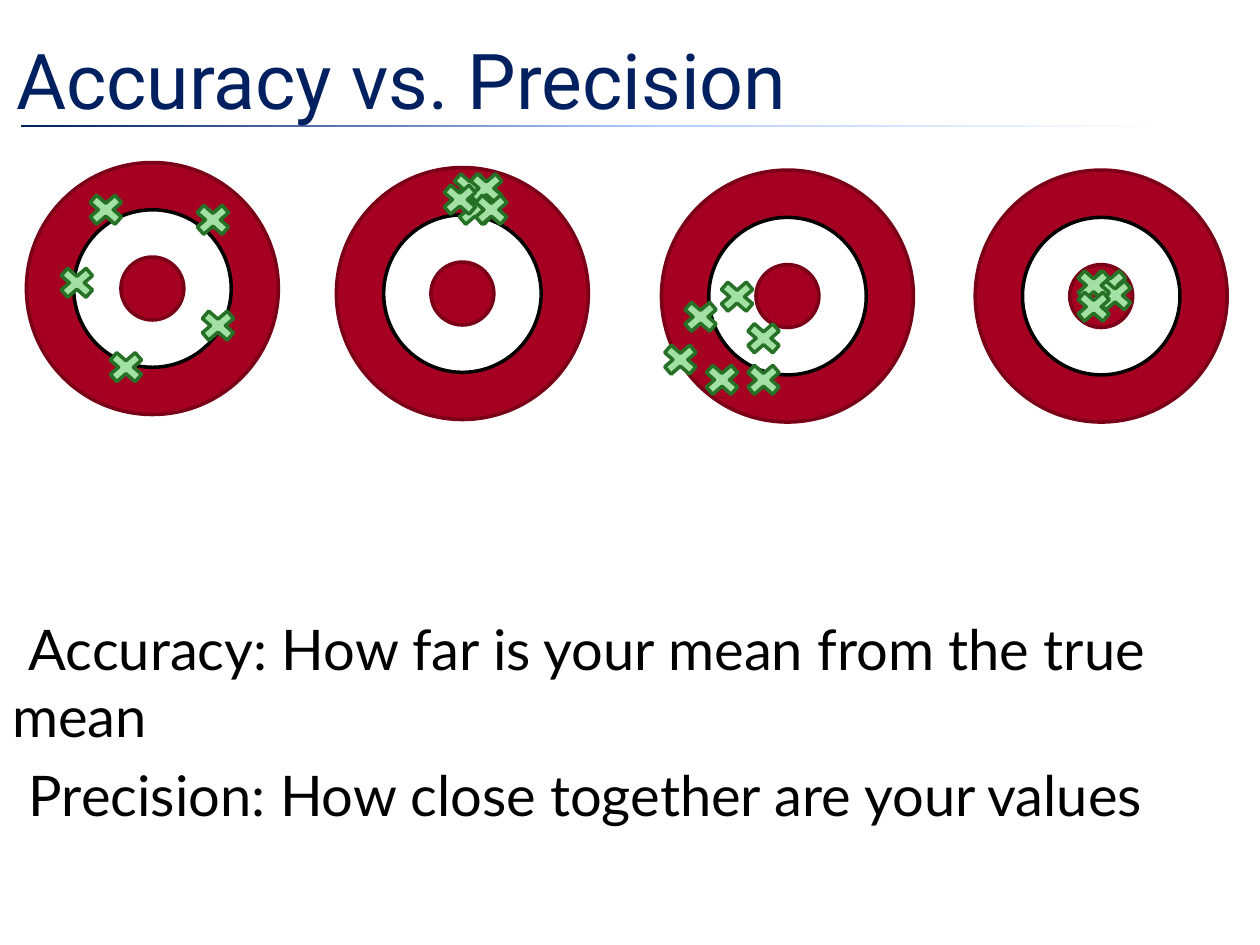
from lxml import etree
from pptx import Presentation
from pptx.dml.color import RGBColor
from pptx.enum.shapes import MSO_SHAPE
from pptx.enum.text import MSO_ANCHOR
from pptx.oxml import parse_xml
from pptx.oxml.ns import nsdecls, qn
from pptx.util import Inches, Pt

OVAL, CROSS, RECT = MSO_SHAPE.OVAL, MSO_SHAPE.MATH_MULTIPLY, MSO_SHAPE.RECTANGLE
MIDDLE, TOP = MSO_ANCHOR.MIDDLE, MSO_ANCHOR.TOP

# Content
TITLE = "Accuracy vs. Precision"
DEFINITIONS = [
    "Accuracy: How far is your mean from the true mean",
    "Precision: How close together are your values",
]
# Each target: left, top, then its hits as offsets from that corner
TARGETS = [
    (0.21, 1.29, [(0.44, 0.21), (0.6, 1.46), (1.33, 1.13), (1.29, 0.29), (0.21, 0.79)]),
    (2.67, 1.33, [(0.87, 0), (0.91, 0.17), (1, 0), (1.04, 0.17), (0.79, 0.09)]),
    (7.74, 1.35, [(0.88, 0.75), (0.92, 0.83), (0.75, 0.75), (0.75, 0.92)]),
    (5.25, 1.35, [(0.12, 1), (0.29, 1.5), (0.62, 1.17), (0.41, 0.84), (0.62, 1.5),
                  (-0.04, 1.34)]),
]
COLORS = {
    "navy": "002060", "sky": "B4CDFF", "white": "FFFFFF", "black": "000000",
    "red": "A50021", "dark red": "7A0018", "green": "A3E0A3", "dark green": "267126",
}
# Rings from outside in: diameter, fill, line
RINGS = [(2, "red", "dark red"), (1.25, "white", "black"), (0.5, "red", "dark red")]
HIT_W, HIT_H = 0.38, 0.33
RULE_STOPS = [(7, "white"), (48, "sky"), (100, "navy")]

prs = Presentation()
prs.slide_width, prs.slide_height = Inches(10), Inches(7.5)
slide = prs.slides.add_slide(prs.slide_layouts[6])


def rgb(name):
    return RGBColor.from_string(COLORS[name])


def add_part(group, preset, left, top, width, height, fill, line):
    part = group.shapes.add_shape(preset, *map(Inches, (left, top, width, height)))
    part.shadow.inherit = False
    part.fill.solid()
    part.fill.fore_color.rgb = rgb(fill)
    part.line.color.rgb = rgb(line)
    part.line.width = Pt(2)


def add_text(box, lines, font, size, color, anchor):
    frame = slide.shapes.add_textbox(*map(Inches, box)).text_frame
    frame.word_wrap = True
    frame.vertical_anchor = anchor
    frame.text = "\n".join(lines)
    for paragraph in frame.paragraphs:
        run_font = paragraph.runs[0].font
        run_font.name, run_font.size = font, Pt(size)
        run_font.color.rgb = rgb(color)
    return frame


# Rule under the title, fading out to the right
rule = slide.shapes.add_shape(RECT, *map(Inches, (0.17, 0.99, 9.83, 0.02)))
rule.shadow.inherit = False
rule.line.fill.background()
stops = "".join(
    f'<a:gs pos="{share * 1000}"><a:srgbClr val="{COLORS[name]}"/></a:gs>'
    for share, name in RULE_STOPS
)
rule.element.spPr.find(qn("a:prstGeom")).addnext(parse_xml(
    f'<a:gradFill {nsdecls("a")}><a:gsLst>{stops}</a:gsLst>'
    '<a:lin ang="10800000" scaled="0"/></a:gradFill>'
))

# Title and definitions
add_text((0.03, 0, 9.5, 1.25), [TITLE], "Roboto", 44, "navy", MIDDLE)
definitions = add_text((0, 4.83, 9.83, 1.76), DEFINITIONS, "Lato", 32, "black", TOP)
for paragraph in definitions.paragraphs:
    paragraph.space_before = Pt(6.4)
    props = paragraph._p.get_or_add_pPr()
    props.set("marL", "0")
    props.set("indent", "0")
    bullet_color = etree.SubElement(props, qn("a:buClr"))
    etree.SubElement(bullet_color, qn("a:srgbClr"), val=COLORS["white"])
    etree.SubElement(props, qn("a:buSzPct"), val="83000")
    etree.SubElement(props, qn("a:buChar"), char="•")

# Targets with their hits
for left, top, hits in TARGETS:
    target = slide.shapes.add_group_shape()
    for diameter, fill, line in RINGS:
        inset = (RINGS[0][0] - diameter) / 2
        add_part(target, OVAL, left + inset, top + inset, diameter, diameter, fill, line)
    for dx, dy in hits:
        add_part(target, CROSS, left + dx, top + dy, HIT_W, HIT_H, "green", "dark green")

prs.save("out.pptx")
